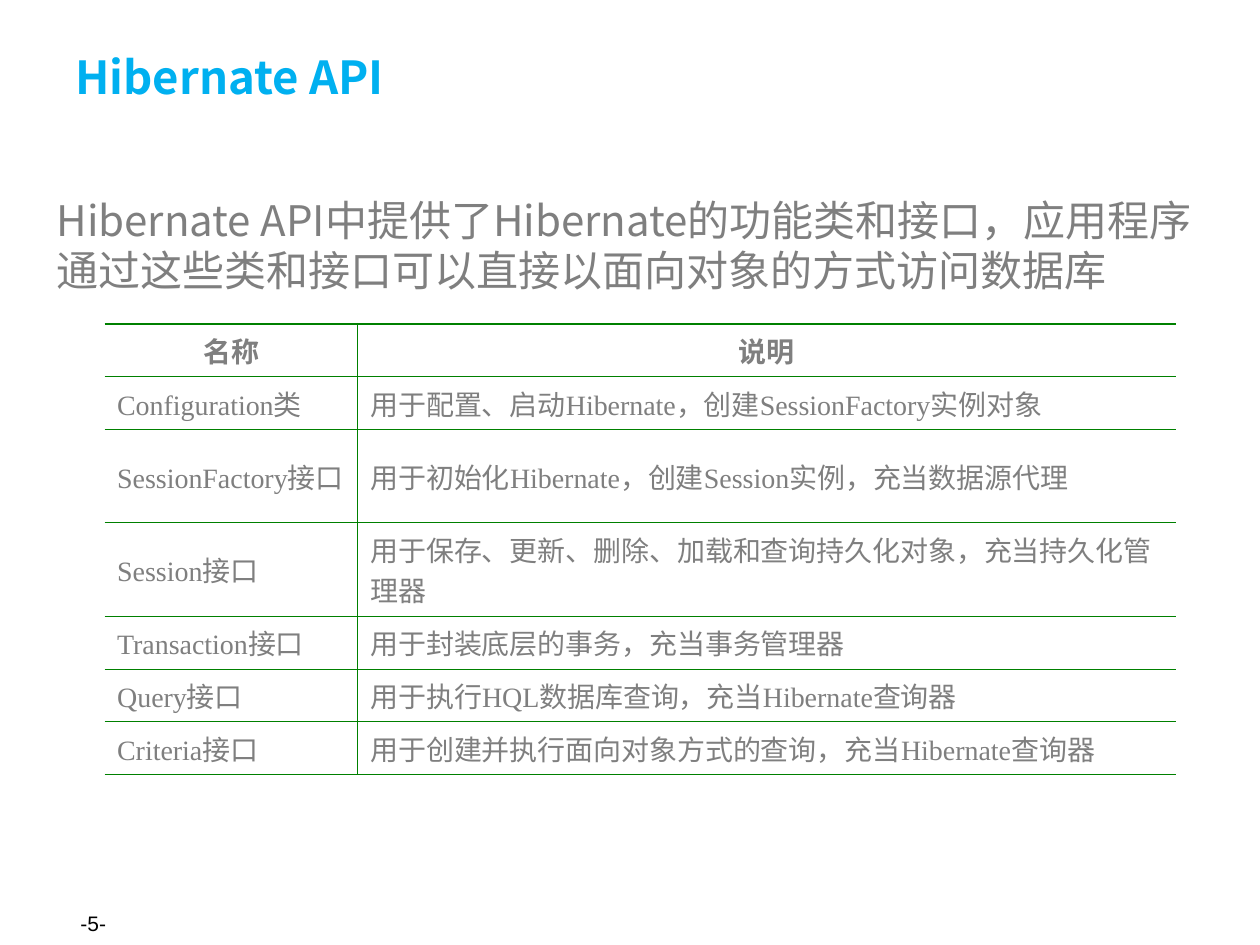
from dataclasses import dataclass

from lxml import etree
from pptx import Presentation
from pptx import util as u
from pptx.dml.color import RGBColor
from pptx.enum import text
from pptx.oxml.ns import qn


@dataclass(frozen=True)
class Theme:
    title: str = "00B0F0"
    body: str = "7F7F7F"
    number: str = "000000"
    rule: str = "008000"
    sans: str = "Noto Sans CJK SC"
    serif: str = "Times New Roman"
    plain: str = "Arial"
    title_size: float = 26
    body_size: float = 24
    table_size: float = 16
    number_size: float = 12
    thin: float = 0.45
    thick: float = 1.08


@dataclass(frozen=True)
class Entry:
    name: str
    purpose: str
    height: float = 0.42


@dataclass(frozen=True)
class Box:
    left: float
    top: float
    width: float
    height: float


T = Theme()
COLUMNS = (2.01, 6.49)
ENTRIES = (
    Entry("名称", "说明"),
    Entry("Configuration类", "用于配置、启动Hibernate，创建SessionFactory实例对象"),
    Entry("SessionFactory接口", "用于初始化Hibernate，创建Session实例，充当数据源代理", 0.74),
    Entry("Session接口", "用于保存、更新、删除、加载和查询持久化对象，充当持久化管理器", 0.74),
    Entry("Transaction接口", "用于封装底层的事务，充当事务管理器"),
    Entry("Query接口", "用于执行HQL数据库查询，充当Hibernate查询器"),
    Entry("Criteria接口", "用于创建并执行面向对象方式的查询，充当Hibernate查询器"),
)


def write(tf, content: str, *, size: float, font: str, color: str, bold: bool = False,
          align=text.PP_ALIGN.LEFT) -> None:
    p = tf.paragraphs[0]
    p.alignment = align
    r = p.add_run()
    r.text = content
    r.font.size = u.Pt(size)
    r.font.name = font
    r.font.bold = bold
    r.font.color.rgb = RGBColor.from_string(color)
    east = etree.SubElement(r.font._element, qn("a:ea"))
    east.set("typeface", T.sans)


def add_text(s, box: Box, content: str, *, anchor=text.MSO_ANCHOR.MIDDLE,
             inset_top: float = 0.05, **style) -> None:
    sp = s.shapes.add_textbox(u.Inches(box.left), u.Inches(box.top),
                              u.Inches(box.width), u.Inches(box.height))
    tf = sp.text_frame
    tf.word_wrap = True
    tf.vertical_anchor = anchor
    tf.margin_top = u.Inches(inset_top)
    write(tf, content, **style)


def add_border(cell, side: str, width: float) -> None:
    ln = etree.SubElement(cell._tc.get_or_add_tcPr(), qn(f"a:ln{side}"))
    if not width:
        etree.SubElement(ln, qn("a:noFill"))
        return
    ln.set("w", str(u.Pt(width)))
    fill = etree.SubElement(ln, qn("a:solidFill"))
    etree.SubElement(fill, qn("a:srgbClr")).set("val", T.rule)


def add_api_table(s, box: Box) -> None:
    table = s.shapes.add_table(len(ENTRIES), len(COLUMNS), u.Inches(box.left), u.Inches(box.top),
                               u.Inches(box.width), u.Inches(box.height)).table
    table.first_row = table.horz_banding = False
    for column, width in zip(table.columns, COLUMNS):
        column.width = u.Inches(width)
    last = len(ENTRIES) - 1
    for i, entry in enumerate(ENTRIES):
        table.rows[i].height = u.Inches(entry.height)
        header = i == 0
        for j, content in enumerate((entry.name, entry.purpose)):
            cell = table.cell(i, j)
            cell.vertical_anchor = text.MSO_ANCHOR.MIDDLE
            write(cell.text_frame, content, size=T.table_size, font=T.serif, color=T.body,
                  bold=header,
                  align=text.PP_ALIGN.CENTER if header else text.PP_ALIGN.LEFT)
            add_border(cell, "L", T.thin if j else 0)
            add_border(cell, "R", 0 if j else T.thin)
            add_border(cell, "T", T.thick if header else T.thin)
            add_border(cell, "B", T.thick if i == last else T.thin)
            cell.fill.background()


def main() -> None:
    prs = Presentation()
    prs.slide_width, prs.slide_height = u.Inches(10), u.Inches(7.5)
    s = prs.slides.add_slide(prs.slide_layouts[6])
    add_text(s, Box(0.54, 7.13, 2.33, 0.4), "-5-",
             size=T.number_size, font=T.plain, color=T.number)
    add_text(s, Box(0.5, 0.3, 9, 0.61), "Hibernate API",
             size=T.title_size, font=T.sans, color=T.title, bold=True)
    add_text(s, Box(0.35, 0.99, 9.29, 5.91),
             "Hibernate API中提供了Hibernate的功能类和接口，应用程序通过这些类和接口可以直接以面向对象的方式访问数据库",
             anchor=text.MSO_ANCHOR.TOP, inset_top=0.55,
             size=T.body_size, font=T.sans, color=T.body)
    add_api_table(s, Box(0.83, 2.57, sum(COLUMNS), sum(e.height for e in ENTRIES)))
    prs.save("out.pptx")


if __name__ == "__main__":
    main()
